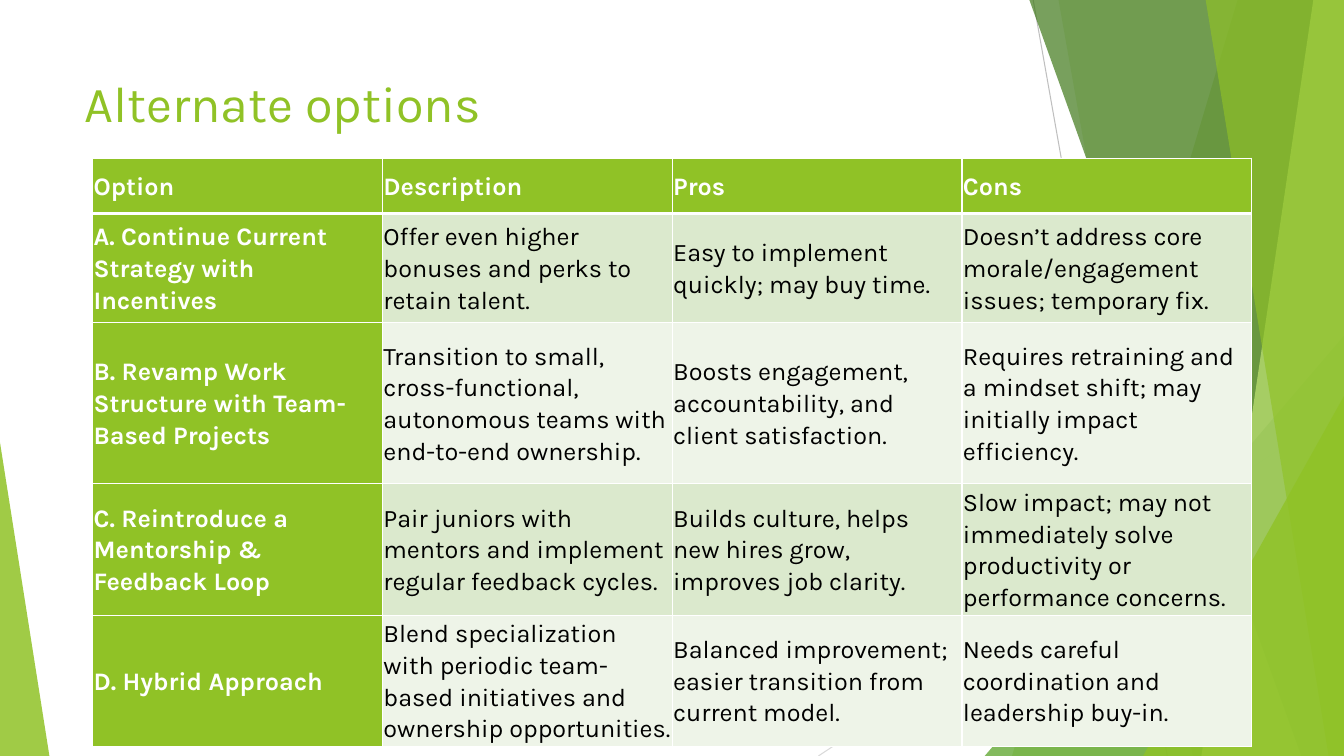
from dataclasses import dataclass

from lxml import etree
from pptx import Presentation
from pptx.dml.color import RGBColor
from pptx.enum.shapes import MSO_CONNECTOR, MSO_SHAPE
from pptx.enum.text import MSO_ANCHOR
from pptx.oxml.ns import qn
from pptx.shapes.autoshape import Shape
from pptx.slide import Slide
from pptx.table import _Cell
from pptx.text.text import TextFrame
from pptx.util import Pt

STRAIGHT = MSO_CONNECTOR.STRAIGHT
TRIANGLE = MSO_SHAPE.ISOSCELES_TRIANGLE
TOP, MIDDLE = MSO_ANCHOR.TOP, MSO_ANCHOR.MIDDLE


@dataclass(frozen=True)
class Theme:
    font: str = "Karla"
    title_size: float = 36
    cell_size: float = 18
    green: str = "90C226"
    mid_green: str = "54A021"
    dark_green: str = "3F7819"
    pale_green: str = "C0E474"
    odd_row: str = "DBE9CD"
    even_row: str = "EEF4E8"
    white: str = "FFFFFF"
    black: str = "000000"
    ray_dark: str = "BFBFBF"
    ray_light: str = "D9D9D9"


@dataclass(frozen=True)
class Ray:
    start: tuple[float, float]
    end: tuple[float, float]
    color: str


@dataclass(frozen=True)
class Band:
    top_x: float
    bottom_x: float
    color: str
    opacity: int


@dataclass(frozen=True)
class Wedge:
    left: float
    top: float
    width: float
    apex: float
    color: str
    opacity: int


THEME = Theme()
PAGE_WIDTH, PAGE_HEIGHT = 960, 540
BAND_TOP = -0.6
COLUMN_WIDTH = 207
ROW_HEIGHTS = (39.6, 77.8, 115.2, 77.8, 77.8)
CELL_MARGIN = 0.72

RAYS = (
    Ray((738, 0), (833.8, 540), THEME.ray_dark),
    Ray((960, 290.2), (584.6, 540), THEME.ray_light),
)

FACETS = (
    Band(884.2, 722.9, THEME.green, 30),
    Band(756, 851.8, THEME.green, 20),
    Wedge(703.4, 239.8, 256.6, 1, THEME.mid_green, 72),
    Band(735.1, 929.5, THEME.dark_green, 70),
    Band(938.2, 858.2, THEME.pale_green, 70),
    Band(861.1, 949, THEME.green, 65),
    Wedge(816.5, 283, 143.5, 1, THEME.green, 80),
    Wedge(0, 316.1, 35.3, 0, THEME.green, 85),
)

OPTIONS = (
    ("Option", "Description", "Pros", "Cons"),
    (
        "A. Continue Current Strategy with Incentives",
        "Offer even higher bonuses and perks to retain talent.",
        "Easy to implement quickly; may buy time.",
        "Doesn’t address core morale/engagement issues; temporary fix.",
    ),
    (
        "B. Revamp Work Structure with Team-Based Projects",
        "Transition to small, cross-functional, autonomous teams with end-to-end ownership.",
        "Boosts engagement, accountability, and client satisfaction.",
        "Requires retraining and a mindset shift; may initially impact efficiency.",
    ),
    (
        "C. Reintroduce a Mentorship & Feedback Loop",
        "Pair juniors with mentors and implement regular feedback cycles.",
        "Builds culture, helps new hires grow, improves job clarity.",
        "Slow impact; may not immediately solve productivity or performance concerns.",
    ),
    (
        "D. Hybrid Approach",
        "Blend specialization with periodic team-based initiatives and ownership opportunities.",
        "Balanced improvement; easier transition from current model.",
        "Needs careful coordination and leadership buy-in.",
    ),
)


def write_text(frame: TextFrame, text: str, *, size: float, color: str,
               bold: bool = False, line_spacing: float = 1, space_after: float = 0) -> None:
    frame.word_wrap = True
    paragraph = frame.paragraphs[0]
    paragraph.line_spacing = line_spacing
    paragraph.space_after = Pt(space_after)
    run = paragraph.add_run()
    run.text = text
    run.font.name = THEME.font
    run.font.size = Pt(size)
    run.font.bold = bold
    run.font.color.rgb = RGBColor.from_string(color)


def draw_ray(slide: Slide, ray: Ray) -> None:
    line = slide.shapes.add_connector(STRAIGHT, *map(Pt, ray.start + ray.end))
    line.line.color.rgb = RGBColor.from_string(ray.color)
    line.line.width = Pt(0.75)
    etree.SubElement(line._element.spPr, qn("a:effectLst"))


def outline_band(slide: Slide, band: Band) -> Shape:
    builder = slide.shapes.build_freeform(Pt(band.top_x), Pt(BAND_TOP))
    corners = ((PAGE_WIDTH, BAND_TOP), (PAGE_WIDTH, PAGE_HEIGHT), (band.bottom_x, PAGE_HEIGHT))
    builder.add_line_segments([(Pt(x), Pt(y)) for x, y in corners], close=True)
    return builder.convert_to_shape()


def outline_wedge(slide: Slide, wedge: Wedge) -> Shape:
    triangle = slide.shapes.add_shape(
        TRIANGLE, Pt(wedge.left), Pt(wedge.top), Pt(wedge.width), Pt(PAGE_HEIGHT - wedge.top))
    triangle.adjustments[0] = wedge.apex
    return triangle


def draw_facet(slide: Slide, facet: Band | Wedge) -> None:
    outline = outline_band if isinstance(facet, Band) else outline_wedge
    shape = outline(slide, facet)
    shape.shadow.inherit = False
    shape.line.fill.background()
    shape.fill.solid()
    shape.fill.fore_color.rgb = RGBColor.from_string(facet.color)
    color = shape._element.spPr.find(qn("a:solidFill"))[0]
    etree.SubElement(color, qn("a:alpha"), val=str(facet.opacity * 1000))


def draw_borders(cell: _Cell, top: float, bottom: float) -> None:
    properties = cell._tc.get_or_add_tcPr()
    for side, width in (("L", 1), ("R", 1), ("T", top), ("B", bottom)):
        border = etree.SubElement(properties, qn(f"a:ln{side}"), w=str(Pt(width)))
        fill = etree.SubElement(border, qn("a:solidFill"))
        etree.SubElement(fill, qn("a:srgbClr"), val=THEME.white)


def draw_cell(cell: _Cell, text: str, row: int, column: int) -> None:
    heading = row == 0 or column == 0
    background = THEME.green if heading else THEME.odd_row if row % 2 else THEME.even_row
    draw_borders(cell, top=3 if row == 1 else 1, bottom=3 if row == 0 else 1)
    cell.fill.solid()
    cell.fill.fore_color.rgb = RGBColor.from_string(background)
    cell.vertical_anchor = MIDDLE
    cell.margin_left = cell.margin_right = Pt(CELL_MARGIN)
    cell.margin_top = cell.margin_bottom = Pt(CELL_MARGIN)
    write_text(cell.text_frame, text, size=THEME.cell_size, bold=heading,
               color=THEME.white if heading else THEME.black,
               line_spacing=1.07, space_after=8)


def draw_options(slide: Slide) -> None:
    columns = len(OPTIONS[0])
    table = slide.shapes.add_table(
        len(OPTIONS), columns, Pt(66.2), Pt(113),
        Pt(COLUMN_WIDTH * columns), Pt(sum(ROW_HEIGHTS))).table
    for column in table.columns:
        column.width = Pt(COLUMN_WIDTH)
    for row, (option, height) in enumerate(zip(OPTIONS, ROW_HEIGHTS)):
        table.rows[row].height = Pt(height)
        for column, text in enumerate(option):
            draw_cell(table.cell(row, column), text, row, column)


def main() -> None:
    presentation = Presentation()
    presentation.slide_width, presentation.slide_height = Pt(PAGE_WIDTH), Pt(PAGE_HEIGHT)
    slide = presentation.slides.add_slide(presentation.slide_layouts[6])
    for ray in RAYS:
        draw_ray(slide, ray)
    for facet in FACETS:
        draw_facet(slide, facet)
    title = slide.shapes.add_textbox(Pt(53.3), Pt(48.2), Pt(676.8), Pt(103.7)).text_frame
    title.vertical_anchor = TOP
    write_text(title, "Alternate options", size=THEME.title_size, color=THEME.green)
    draw_options(slide)
    presentation.save("out.pptx")


if __name__ == "__main__":
    main()
